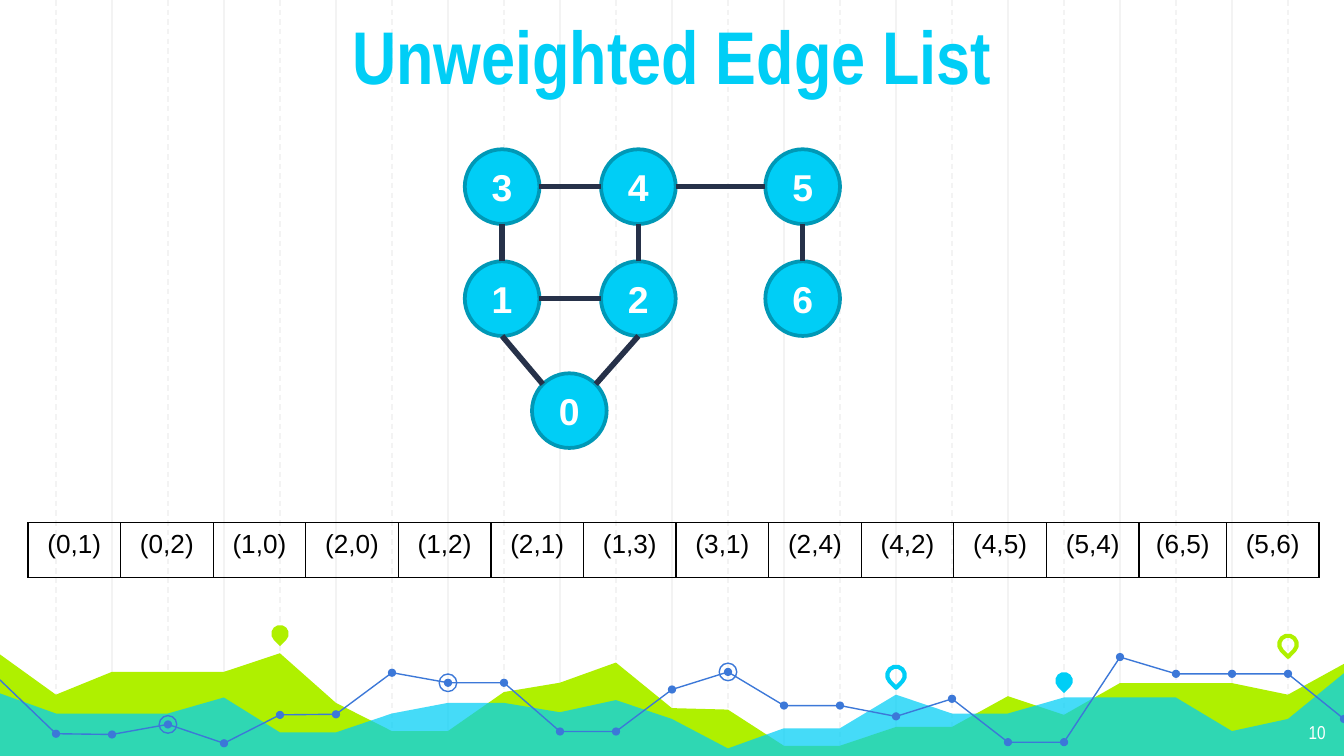
"""Build the Unweighted Edge List slide."""
import lxml.etree
import pptx
import pptx.dml.color
import pptx.enum.dml
import pptx.enum.shapes
import pptx.enum.text
import pptx.oxml.ns
import pptx.util

Pt = pptx.util.Pt
RGBColor = pptx.dml.color.RGBColor
SHAPE = pptx.enum.shapes.MSO_SHAPE
ANCHOR = pptx.enum.text.MSO_ANCHOR
ALIGN = pptx.enum.text.PP_ALIGN
qn = pptx.oxml.ns.qn

WHITE = RGBColor(0xFF, 0xFF, 0xFF)
BLACK = RGBColor(0, 0, 0)
GRID_GRAY = RGBColor(0xF3, 0xF3, 0xF3)
GREEN = RGBColor(0xAF, 0xF0, 0x00)
CYAN = RGBColor(0x00, 0xCE, 0xF6)
TEAL = RGBColor(0x00, 0x98, 0xB6)
BLUE = RGBColor(0x3C, 0x78, 0xD8)
NAVY = RGBColor(0x26, 0x31, 0x49)

TITLE = "Unweighted Edge List"
PAGE_NUMBER = "10"
NODES = {"3": (269, 100), "4": (342, 100), "1": (269, 160), "2": (342, 160),
         "5": (430, 100), "6": (430, 160), "0": (305, 220)}
EDGES = [("3", "right", "4", "left"), ("3", "bottom", "1", "top"),
         ("4", "right", "5", "left"), ("5", "bottom", "6", "top"),
         ("4", "bottom", "2", "top"), ("1", "right", "2", "left"),
         ("1", "bottom", "0", "top left"), ("2", "bottom", "0", "top right")]
SITES = {"left": (-1, 0), "right": (1, 0), "top": (0, -1), "bottom": (0, 1),
         "top left": (-0.71, -0.71), "top right": (0.71, -0.71)}
PAIRS = ["(0,1)", "(0,2)", "(1,0)", "(2,0)", "(1,2)", "(2,1)", "(1,3)",
         "(3,1)", "(2,4)", "(4,2)", "(4,5)", "(5,4)", "(6,5)", "(5,6)"]
NARROW_PAIR = "(6,5)"
GREEN_HILLS = [350.6, 372.2, 360, 360, 360, 350, 376.6, 391.7, 391.7, 370.8, 365.8, 355,
               379.4, 380.2, 399.6, 399.6, 389.5, 389.5, 373, 383, 366, 366, 366, 372.2, 355.7]
CYAN_HILLS = [371.5, 382.3, 382.3, 382.3, 373.7, 392.4, 392.4, 382.3, 376.6, 376.6, 381.6, 375.1,
              385.2, 401, 390.2, 390.2, 372.2, 382.3, 382.3, 373.7, 373.7, 373.7, 391.7, 385.2, 360.7]
TREND = [364.3, 393.1, 393.5, 388.1, 398.2, 383, 382.7, 360.4, 365.8, 365.8, 391.9, 391.9,
         369.4, 360, 378, 378, 383.8, 374.4, 397.6, 397.6, 352, 361, 361, 361, 385.2]
TREND_PARTS = [(0, 11), (11, 20), (20, 24)]
RINGED = [8, 3, 13]
PINS = [(5, 339.5, GREEN, True), (16, 361.8, CYAN, False),
        (19, 364.7, CYAN, True), (23, 345.2, GREEN, False)]
STEP, BOTTOM = 30, 406.8
NODE_SIZE, DOT_SIZE, MARK_SIZE = 40, 4.4, 9.4
TABLE_LEFT, TABLE_TOP, CELL_WIDTH, NARROW_WIDTH, CELL_HEIGHT = 15, 280, 49.6, 46.8, 29.3

presentation = pptx.Presentation()
presentation.slide_width, presentation.slide_height = Pt(720), Pt(405)
slide = presentation.slides.add_slide(presentation.slide_layouts[6])
slide.background.fill.solid()
slide.background.fill.fore_color.rgb = WHITE


def paint(shape, fill=None, line=None, width=0.75):
    shape.shadow.inherit = False
    if fill is None:
        shape.fill.background()
    else:
        shape.fill.solid()
        shape.fill.fore_color.rgb = fill
    if line is None:
        shape.line.fill.background()
    else:
        shape.line.color.rgb = line
        shape.line.width = Pt(width)


def centered(kind, x, y, size, **colors):
    shape = slide.shapes.add_shape(kind, Pt(x - size / 2), Pt(y - size / 2), Pt(size), Pt(size))
    paint(shape, **colors)
    return shape


def connect(start, end, color, width):
    line = slide.shapes.add_connector(pptx.enum.shapes.MSO_CONNECTOR.STRAIGHT,
                                      Pt(start[0]), Pt(start[1]), Pt(end[0]), Pt(end[1]))
    line.line.color.rgb = color
    line.line.width = Pt(width)
    lxml.etree.SubElement(line._element.spPr, qn("a:effectLst"))
    return line


def outline(points, close, **colors):
    corners = [(Pt(x), Pt(y)) for x, y in points]
    builder = slide.shapes.build_freeform(*corners[0])
    builder.add_line_segments(corners[1:], close=close)
    shape = builder.convert_to_shape()
    paint(shape, **colors)
    return shape


def write(frame, text, size, color, font="Arial", bold=False, align=ALIGN.CENTER):
    paragraph = frame.paragraphs[0]
    paragraph.alignment = align
    run = paragraph.add_run()
    run.text = text
    run.font.size, run.font.name, run.font.bold = Pt(size), font, bold
    run.font.color.rgb = color


def text_box(left, top, width, height, anchor, text, size, color, **style):
    frame = slide.shapes.add_textbox(Pt(left), Pt(top), Pt(width), Pt(height)).text_frame
    frame.word_wrap = True
    frame.vertical_anchor = anchor
    frame.margin_left = frame.margin_right = frame.margin_top = frame.margin_bottom = Pt(7.2)
    write(frame, text, size, color, font="Arial Narrow", **style)


def border(cell):
    properties = cell._tc.get_or_add_tcPr()
    for position, side in enumerate(("a:lnL", "a:lnR", "a:lnT", "a:lnB")):
        line = lxml.etree.Element(qn(side), w=str(Pt(0.75)))
        fill = lxml.etree.SubElement(line, qn("a:solidFill"))
        lxml.etree.SubElement(fill, qn("a:srgbClr"), val=str(BLACK))
        properties.insert(position, line)


def site(node, name):
    return [center + NODE_SIZE / 2 * offset for center, offset in zip(NODES[node], SITES[name])]


for first, dashed in ((2, False), (1, True)):
    for column in range(first, 24, 2):
        grid_line = connect((column * STEP, 0), (column * STEP, BOTTOM), GRID_GRAY, 0.75)
        if dashed:
            grid_line.line.dash_style = pptx.enum.dml.MSO_LINE.DASH

for heights, color in ((GREEN_HILLS, GREEN), (CYAN_HILLS, CYAN)):
    ridge = [(column * STEP, y) for column, y in enumerate(heights)]
    hills = outline(ridge + [(721, BOTTOM), (-2, BOTTOM)], True, fill=color)
color_element = hills._element.spPr.find(qn("a:solidFill")).find(qn("a:srgbClr"))
lxml.etree.SubElement(color_element, qn("a:alpha"), val="73000")

for column, y, color, filled in PINS:
    colors = {"fill": color} if filled else {"line": color, "width": 2.25}
    pin = centered(SHAPE.TEAR, column * STEP, y, MARK_SIZE, **colors)
    pin.rotation = 135

trend_points = [(column * STEP, y) for column, y in enumerate(TREND)]
for first, last in TREND_PARTS:
    outline(trend_points[first:last + 1], False, line=BLUE)
for x, y in trend_points[1:]:
    centered(SHAPE.OVAL, x, y, DOT_SIZE, fill=BLUE)
for column in RINGED:
    centered(SHAPE.OVAL, *trend_points[column], MARK_SIZE, line=BLUE)

text_box(674, 380, 43.2, 25.2, ANCHOR.TOP, PAGE_NUMBER, 10, WHITE, align=ALIGN.RIGHT)
text_box(0, 4.3, 720, 56.2, ANCHOR.BOTTOM, TITLE, 40, CYAN, bold=True)

for label, (x, y) in NODES.items():
    node = centered(SHAPE.OVAL, x, y, NODE_SIZE, fill=CYAN, line=TEAL, width=2)
    node.text_frame.vertical_anchor = ANCHOR.MIDDLE
    write(node.text_frame, label, 20, WHITE, bold=True)
for start, start_site, end, end_site in EDGES:
    connect(site(start, start_site), site(end, end_site), NAVY, 3)

left = TABLE_LEFT
for pair in PAIRS:
    width = NARROW_WIDTH if pair == NARROW_PAIR else CELL_WIDTH
    table = slide.shapes.add_table(1, 1, Pt(left), Pt(TABLE_TOP), Pt(width), Pt(CELL_HEIGHT)).table
    table.first_row = table.horz_banding = False
    cell = table.cell(0, 0)
    cell.fill.background()
    border(cell)
    write(cell.text_frame, pair, 14, BLACK)
    left += width

presentation.save("out.pptx")
